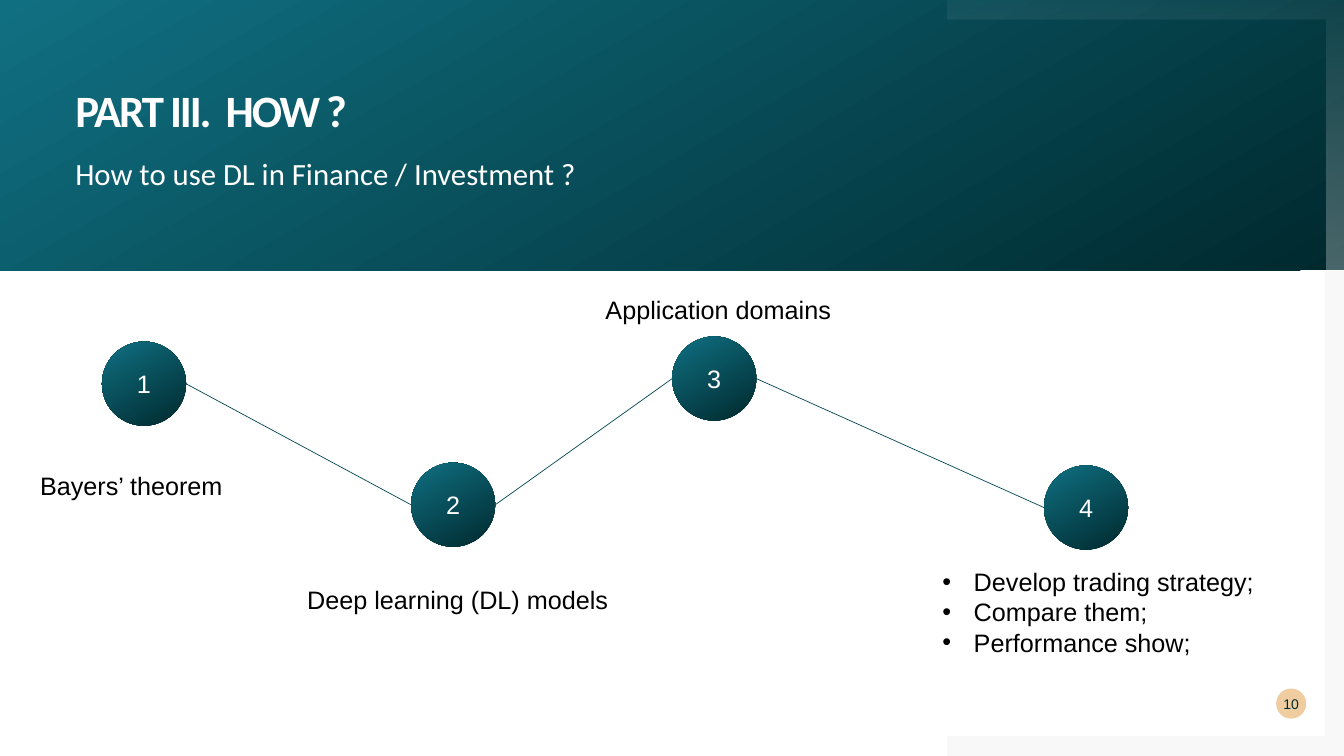
from lxml import etree
from pptx import Presentation
from pptx.dml.color import RGBColor
from pptx.enum.shapes import MSO_CONNECTOR, MSO_SHAPE
from pptx.enum.text import MSO_ANCHOR, PP_ALIGN
from pptx.oxml.ns import qn
from pptx.util import Cm, Pt

RECT, OVAL = MSO_SHAPE.RECTANGLE, MSO_SHAPE.OVAL
STRAIGHT = MSO_CONNECTOR.STRAIGHT
TOP, MIDDLE = MSO_ANCHOR.TOP, MSO_ANCHOR.MIDDLE
LEFT, CENTER = PP_ALIGN.LEFT, PP_ALIGN.CENTER

WIDTH, HEIGHT, BAND = 33.87, 19.05, 6.81
FRAME_LEFT, FRAME_RIGHT, EDGE = 23.87, 33.39, 0.5
NODE = 2.12
NODES = [(2.57, 8.61), (10.36, 11.66), (16.94, 8.48), (26.31, 11.73)]
LABELS = [
    (0.76, 11.73, 8.05, 1.02, ["Bayers’ theorem"]),
    (7.49, 14.6, 12.22, 1.02, ["Deep learning (DL) models"]),
    (15.01, 7.29, 7.26, 1.02, ["Application domains"]),
    (23.5, 14.15, 10.2, 2.57,
     ["Develop trading strategy;", "Compare them;", "Performance show;"]),
]


def color(value):
    """Turn a hex string into a colour."""
    return RGBColor.from_string(value)


class Deck:
    """Slide style and the methods that draw each kind of element."""

    white, black, dark, teal = "FFFFFF", "000000", "00292E", "107082"
    line_color, badge, grey = "054854", "F0CDA1", "808080"
    body_font, head_font = "Arial", "Calibri"

    def __init__(self, prs):
        """Add a title-only slide."""
        self.slide = prs.slides.add_slide(prs.slide_layouts[5])
        self.shapes = self.slide.shapes

    def paint(self, s, stops, angle=120, alphas=()):
        """Fill a shape with one colour or a gradient, without outline."""
        s.shadow.inherit = False
        s.line.fill.background()
        if len(stops) == 1:
            s.fill.solid()
            s.fill.fore_color.rgb = color(stops[0])
        else:
            s.fill.gradient()
            s.fill.gradient_angle = angle
            for stop, value in zip(s.fill.gradient_stops, stops):
                stop.color.rgb = color(value)
        for clr, alpha in zip(s.element.iter(qn("a:srgbClr")), alphas):
            etree.SubElement(clr, qn("a:alpha"), val=str(alpha * 1000))

    def fill_text(self, s, lines, size, rgb, font=body_font, align=LEFT,
                  anchor=TOP, inset=True, bold=False):
        """Put one paragraph per line in a shape and return the paragraphs."""
        tf = s.text_frame
        tf.word_wrap = True
        tf.vertical_anchor = anchor
        if not inset:
            tf.margin_left = tf.margin_right = 0
            tf.margin_top = tf.margin_bottom = 0
        for i, line in enumerate(lines):
            p = tf.add_paragraph() if i else tf.paragraphs[0]
            p.alignment = align
            r = p.add_run()
            r.text = line
            r.font.name, r.font.size, r.font.bold = font, Pt(size), bold
            r.font.color.rgb = color(rgb)
        return tf.paragraphs

    def shape(self, kind, x, y, w, h, stops):
        """Add a filled preset shape."""
        s = self.shapes.add_shape(kind, Cm(x), Cm(y), Cm(w), Cm(h))
        self.paint(s, stops)
        return s

    def corner(self, points, stops, alphas):
        """Add a translucent corner outline."""
        (x, y), *rest = [(Cm(a), Cm(b)) for a, b in points]
        fb = self.shapes.build_freeform(x, y)
        fb.add_line_segments(rest)
        self.paint(fb.convert_to_shape(), stops, 270, alphas)

    def title(self, text):
        """Place and format the title."""
        s = self.shapes.title
        s.left, s.top, s.width, s.height = Cm(1.9), Cm(2.24), Cm(21), Cm(1.02)
        p = self.fill_text(s, [text], 32, self.white, self.head_font,
                           inset=False, bold=True)[0]
        p.line_spacing = 0.9
        p.runs[0].font._element.set("spc", "-150")

    def text(self, x, y, w, h, lines, size=18, rgb=black, **style):
        """Add a text box, with bullets when it has several lines."""
        s = self.shapes.add_textbox(Cm(x), Cm(y), Cm(w), Cm(h))
        paragraphs = self.fill_text(s, lines, size, rgb, **style)
        if len(lines) > 1:
            for p in paragraphs:
                pPr = p._p.get_or_add_pPr()
                pPr.set("marL", str(Cm(0.79)))
                pPr.set("indent", str(-Cm(0.79)))
                etree.SubElement(pPr, qn("a:buFont"), typeface=self.body_font)
                etree.SubElement(pPr, qn("a:buChar"), char="•")

    def disc(self, x, y, d, text, stops, size, rgb, inset=True):
        """Add a circle with a number."""
        s = self.shape(OVAL, x, y, d, d, stops)
        self.fill_text(s, [text], size, rgb, align=CENTER, anchor=MIDDLE,
                       inset=inset)

    def line(self, x1, y1, x2, y2):
        """Add a thin straight line."""
        s = self.shapes.add_connector(STRAIGHT, Cm(x1), Cm(y1), Cm(x2), Cm(y2))
        s.line.color.rgb = color(self.line_color)
        s.line.width = Pt(0.5)
        etree.SubElement(s.element.spPr, qn("a:effectLst"))


def main():
    """Build the slide."""
    prs = Presentation()
    prs.slide_width, prs.slide_height = Cm(WIDTH), Cm(HEIGHT)
    deck = Deck(prs)
    gradient = [deck.dark, deck.teal]

    deck.corner([(FRAME_RIGHT, BAND), (WIDTH, BAND), (WIDTH, HEIGHT),
                 (FRAME_LEFT, HEIGHT), (FRAME_LEFT, HEIGHT - EDGE),
                 (FRAME_RIGHT, HEIGHT - EDGE)], [deck.grey], [5])
    deck.shape(RECT, 0, 0, WIDTH, BAND, gradient)
    deck.corner([(FRAME_LEFT, 0), (WIDTH, 0), (WIDTH, BAND),
                 (FRAME_RIGHT, BAND), (FRAME_RIGHT, EDGE),
                 (FRAME_LEFT, EDGE)], [deck.white] * 2, [5, 30])

    title = deck.shapes.title.element
    title.getparent().append(title)
    deck.title("PART III.  HOW ?")
    deck.text(1.9, 3.91, 21, 0.99, ["How to use DL in Finance / Investment ?"],
              22, deck.white, font=deck.head_font, inset=False)
    deck.disc(32.16, 17.35, 0.76, "10", [deck.badge], 10, deck.dark, False)

    for number, ((x, y), label) in enumerate(zip(NODES, LABELS), 1):
        deck.text(*label)
        deck.disc(x, y, NODE, str(number), gradient, 18, deck.white)
    for (x1, y1), (x2, y2) in zip(NODES, NODES[1:]):
        deck.line(x1 + NODE, y1 + NODE / 2, x2, y2 + NODE / 2)

    prs.save("out.pptx")


if __name__ == "__main__":
    main()
